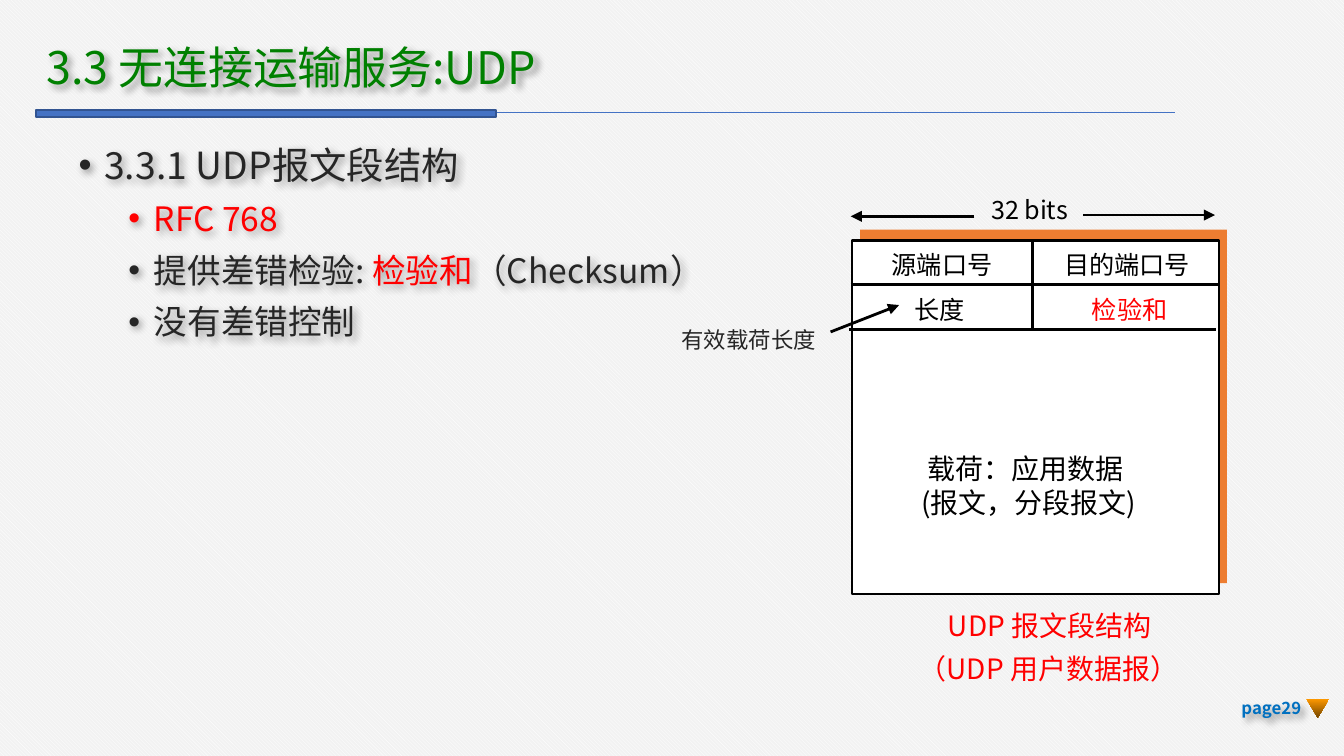
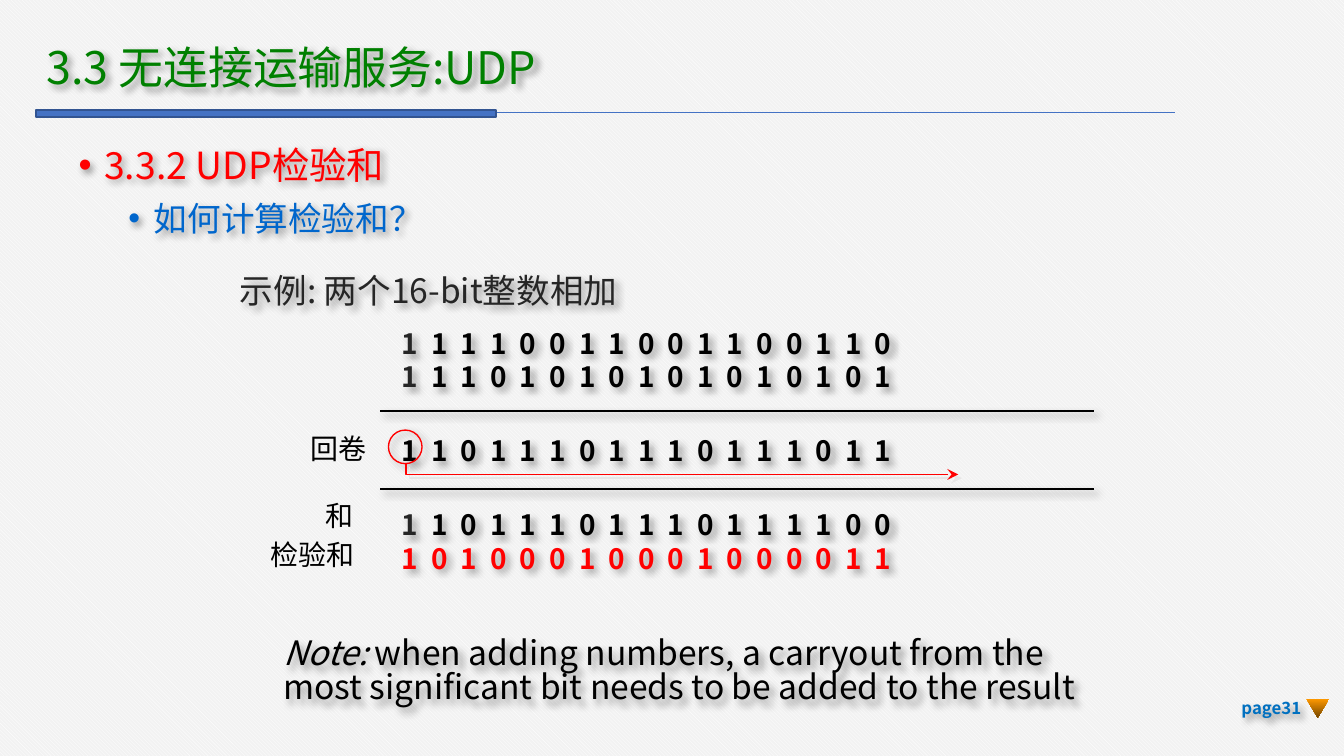
"""Build two lecture slides on the UDP segment structure and checksum."""
from dataclasses import dataclass
from typing import Optional

import lxml.etree
import pptx
import pptx.dml.color
import pptx.enum.dml
import pptx.enum.shapes
import pptx.enum.text
import pptx.oxml.ns
import pptx.util

Inches = pptx.util.Inches
Pt = pptx.util.Pt
Align = pptx.enum.text.PP_ALIGN
Anchor = pptx.enum.text.MSO_ANCHOR
Shapes = pptx.enum.shapes.MSO_SHAPE
qn = pptx.oxml.ns.qn

FONT = "Noto Sans CJK SC"
BLACK, WHITE, RED, INK = "000000", "FFFFFF", "FF0000", "262626"
GREEN, BLUE, BAND, BAND_EDGE = "008000", "0066CC", "4472C4", "325491"
ORANGE, PAGE_BLUE, PALE = "ED7D31", "0070C0", "E7E6E6"
TITLE = "3.3 无连接运输服务:UDP"
BIT_PITCH = 0.22


@dataclass(frozen=True)
class Run:
    """A stretch of text in one format."""
    text: str
    color: str = BLACK
    italic: bool = False


@dataclass(frozen=True)
class Label:
    """A small text box with one paragraph per line of text."""
    text: str
    left: float
    top: float
    width: float
    height: float
    size: float = 13.5
    color: str = BLACK
    align: Align = Align.CENTER
    wrap: bool = False


@dataclass(frozen=True)
class Line:
    """A straight line, with an optional arrowhead and shadow."""
    start: tuple[float, float]
    end: tuple[float, float]
    color: str = BLACK
    width: float = 1.5
    arrow: Optional[str] = None
    shadow: bool = False


@dataclass(frozen=True)
class Item:
    """A bulleted paragraph at a list level."""
    level: int
    runs: tuple[Run, ...]


@dataclass(frozen=True)
class BitRow:
    """A row of binary digits, the first one in its own colour."""
    bits: str
    first: str = BLACK
    rest: str = BLACK
    gap: float = 0


def rgb(color: str) -> pptx.dml.color.RGBColor:
    """Turn a hex string into a colour."""
    return pptx.dml.color.RGBColor.from_string(color)


def make_element(parent, tag: str, **attributes):
    """Append a DrawingML element to its parent."""
    return lxml.etree.SubElement(parent, qn(tag), {key: str(value) for key, value in attributes.items()})


def add_shadow(shape, color: str = BLACK, alpha: int = 40, blur: float = 4, distance: float = 3) -> None:
    """Give a shape a lower-right shadow."""
    shape.shadow.inherit = False
    effects = shape._element.spPr.find(qn("a:effectLst"))
    outer = make_element(effects, "a:outerShdw", blurRad=Pt(blur), dist=Pt(distance),
                         dir=45 * 60000, algn="tl", rotWithShape=0)
    make_element(make_element(outer, "a:srgbClr", val=color), "a:alpha", val=alpha * 1000)


def add_run(paragraph, text: str, *, size: float, color: str = BLACK, bold: bool = False,
            italic: bool = False) -> None:
    """Add formatted text to a paragraph."""
    run = paragraph.add_run()
    run.text = text
    run.font.size = Pt(size)
    run.font.bold = bold
    run.font.italic = italic
    run.font.color.rgb = rgb(color)
    run.font.name = FONT
    make_element(run.font._element, "a:ea", typeface=FONT)


def set_frame(shape, wrap: bool = True, anchor: Anchor = Anchor.TOP, narrow: bool = False, shadow: bool = False):
    """Set up the text frame of a shape and return it."""
    frame = shape.text_frame
    frame.word_wrap = wrap
    frame.auto_size = pptx.enum.text.MSO_AUTO_SIZE.NONE
    frame.vertical_anchor = anchor
    if narrow:
        frame.margin_left = frame.margin_right = Pt(5.4)
        frame.margin_top = frame.margin_bottom = Pt(2.7)
    if shadow:
        add_shadow(shape)
    return frame


def add_box(slide, left: float, top: float, width: float, height: float, **frame_format):
    """Add a text box and return its frame."""
    shape = slide.shapes.add_textbox(Inches(left), Inches(top), Inches(width), Inches(height))
    return set_frame(shape, **frame_format)


def add_label(slide, label: Label) -> None:
    """Draw a label."""
    frame = add_box(slide, label.left, label.top, label.width, label.height, wrap=label.wrap)
    for index, text in enumerate(label.text.split("\n")):
        paragraph = frame.add_paragraph() if index else frame.paragraphs[0]
        paragraph.alignment = label.align
        add_run(paragraph, text, size=label.size, color=label.color)


def set_arrow(shape, kind: str) -> None:
    """Put an arrowhead at the end of a line."""
    make_element(shape._element.spPr.find(qn("a:ln")), "a:tailEnd", type=kind)


def add_line(slide, line: Line) -> None:
    """Draw a straight line."""
    points = [Inches(value) for value in (*line.start, *line.end)]
    connector = slide.shapes.add_connector(pptx.enum.shapes.MSO_CONNECTOR.STRAIGHT, *points)
    connector.line.color.rgb = rgb(line.color)
    connector.line.width = Pt(line.width)
    if line.arrow:
        set_arrow(connector, line.arrow)
    effects = make_element(connector._element.spPr, "a:effectLst")
    if line.shadow:
        outer = make_element(effects, "a:outerShdw", blurRad=Pt(4), dist=Pt(3), dir=45 * 60000)
        make_element(make_element(outer, "a:srgbClr", val=BLACK), "a:alpha", val=40000)


def style_shape(shape, fill: Optional[str], edge: Optional[str], width: float) -> None:
    """Set the fill and outline of a shape and drop its shadow."""
    shape.shadow.inherit = False
    if fill:
        shape.fill.solid()
        shape.fill.fore_color.rgb = rgb(fill)
    else:
        shape.fill.background()
    if edge:
        shape.line.color.rgb = rgb(edge)
        shape.line.width = Pt(width)
    else:
        shape.line.fill.background()


def add_shape(slide, kind: Shapes, left: float, top: float, width: float, height: float,
              fill: Optional[str] = None, edge: Optional[str] = None, line_width: float = 1):
    """Draw a preset shape."""
    shape = slide.shapes.add_shape(kind, Inches(left), Inches(top), Inches(width), Inches(height))
    style_shape(shape, fill, edge, line_width)
    return shape


def place(shape, left: float, top: float, width: float, height: float) -> None:
    """Move and resize a placeholder."""
    shape.left, shape.top = Inches(left), Inches(top)
    shape.width, shape.height = Inches(width), Inches(height)


def add_page_mark(slide, page: int) -> None:
    """Draw the page number and its triangle."""
    paragraph = add_box(slide, 9.09, 5.12, 0.69, 0.3, anchor=Anchor.MIDDLE, shadow=True).paragraphs[0]
    paragraph.alignment = Align.RIGHT
    add_run(paragraph, f"page{page}", size=9, color=PAGE_BLUE, bold=True)
    marker = add_shape(slide, Shapes.FLOWCHART_MERGE, 9.72, 5.2, 0.17, 0.14)
    marker.fill.gradient()
    marker.fill.gradient_angle = 270
    for stop, color, position in zip(marker.fill.gradient_stops, ("FF9900", "764700"), (0, 1)):
        stop.color.rgb = rgb(color)
        stop.position = position


def add_base_slide(presentation, page: int, body_height: float, items: list[Item]):
    """Add a slide with band, title, bullet list and page mark."""
    slide = presentation.slides.add_slide(presentation.slide_layouts[1])
    add_line(slide, Line((8.74, 0.84), (0.27, 0.84), BAND, 0.5))
    add_shape(slide, Shapes.RECTANGLE, 0.27, 0.82, 3.42, 0.05, BAND, BAND_EDGE)
    title, body = slide.placeholders
    place(title, 0.27, 0.3, 4.26, 0.44)
    heading = set_frame(title, anchor=Anchor.MIDDLE, narrow=True, shadow=True).paragraphs[0]
    heading.alignment = Align.LEFT
    heading.line_spacing = 0.9
    add_run(heading, TITLE, size=24, color=GREEN)
    place(body, 0.51, 1.02, 6.68, body_height)
    frame = set_frame(body, narrow=True, shadow=True)
    for index, item in enumerate(items):
        paragraph = frame.add_paragraph() if index else frame.paragraphs[0]
        paragraph.level = item.level
        paragraph.space_before = Pt(6 if index else 0)
        properties = paragraph._p.get_or_add_pPr()
        properties.set("marL", str(Inches(0.56 if item.level else 0.19)))
        properties.set("indent", str(Inches(-0.19)))
        make_element(properties, "a:buChar", char="•")
        for run in item.runs:
            add_run(paragraph, run.text, size=18 if item.level else 20, color=run.color)
    add_page_mark(slide, page)
    return slide


def add_bit_rows(slide, rows: list[BitRow]) -> None:
    """Write rows of digits aligned on evenly spaced tab stops."""
    frame = add_box(slide, 2.89, 2.38, 5.25, 1.97, shadow=True)
    for index, row in enumerate(rows):
        paragraph = frame.add_paragraph() if index else frame.paragraphs[0]
        paragraph.line_spacing = Pt(17.9)
        paragraph.space_before = Pt(row.gap)
        tabs = make_element(paragraph._p.get_or_add_pPr(), "a:tabLst")
        for column in range(1, len(row.bits)):
            make_element(tabs, "a:tab", pos=Inches(BIT_PITCH * column), algn="l")
        add_run(paragraph, row.bits[0], size=15, color=row.first, bold=True)
        add_run(paragraph, "\t" + "\t".join(row.bits[1:]), size=15, color=row.rest, bold=True)


def build_segment_slide(presentation) -> None:
    """Build the slide on the UDP segment structure."""
    slide = add_base_slide(presentation, 29, 4.1, [
        Item(0, (Run("3.3.1 UDP报文段结构", INK),)),
        Item(1, (Run("RFC 768", RED),)),
        Item(1, (Run("提供差错检验: ", INK), Run("检验和", RED), Run("（Checksum）", INK))),
        Item(1, (Run("没有差错控制", INK),))])
    add_shape(slide, Shapes.RECTANGLE, 6.4, 1.71, 2.73, 2.63, ORANGE)
    add_shape(slide, Shapes.RECTANGLE, 6.34, 1.79, 2.73, 2.63, WHITE, BLACK, 1.5)
    for line in (Line((6.33, 2.12), (9.06, 2.12)), Line((6.32, 2.45), (9.05, 2.45)),
                 Line((7.68, 2.11), (7.68, 1.79)), Line((7.68, 2.45), (7.68, 2.12)),
                 Line((8.06, 1.6), (9.04, 1.6), arrow="triangle"),
                 Line((7.25, 1.61), (6.33, 1.61), arrow="triangle"),
                 Line((6.18, 2.47), (6.69, 2.27), arrow="triangle")):
        add_line(slide, line)
    for label in (Label("源端口号", 6.53, 1.81, 0.96, 0.33),
                  Label("目的端口号", 7.81, 1.81, 1.15, 0.33),
                  Label("32 bits", 7.24, 1.4, 0.84, 0.33),
                  Label("载荷：应用数据 \n(报文，分段报文)", 6.59, 3.31, 2.13, 0.61, 15, wrap=True),
                  Label("UDP 报文段结构", 6.84, 4.48, 1.94, 0.35, 15, RED, wrap=True),
                  Label("长度", 6.7, 2.14, 0.58, 0.33),
                  Label("检验和", 8.02, 2.14, 0.77, 0.33, color=RED),
                  Label("有效载荷长度", 4.87, 2.38, 1.3, 0.3, 12, INK, Align.RIGHT, True),
                  Label("（UDP 用户数据报）", 6.59, 4.8, 2.42, 0.35, 15, RED, wrap=True)):
        add_label(slide, label)


def build_checksum_slide(presentation) -> None:
    """Build the slide on computing the checksum."""
    slide = add_base_slide(presentation, 31, 3.52, [
        Item(0, (Run("3.3.2 UDP检验和", RED),)),
        Item(1, (Run("如何计算检验和？", BLUE),))])
    example = add_box(slide, 1.71, 1.88, 6.38, 2.07, narrow=True, shadow=True).paragraphs[0]
    example.line_spacing = 1.3
    add_run(example, "示例: 两个16-bit整数相加", size=18, color=INK)
    add_bit_rows(slide, [
        BitRow("11110011001100110", INK), BitRow("11101010101010101", INK),
        BitRow("11011101110111011", gap=21.8), BitRow("11011101110111100", INK, gap=21.8),
        BitRow("10100010001000011", RED, RED)])
    for top in (3.06, 3.64):
        add_line(slide, Line((8.14, top), (2.83, top), width=1, shadow=True))
    add_shadow(add_shape(slide, Shapes.OVAL, 2.89, 3.2, 0.25, 0.25, edge=RED, line_width=0.75))
    builder = slide.shapes.build_freeform(Inches(3.02), Inches(3.45))
    builder.add_line_segments([(Inches(3.02), Inches(3.53)), (Inches(7.13), Inches(3.53))], close=False)
    carry = builder.convert_to_shape()
    style_shape(carry, None, RED, 0.75)
    set_arrow(carry, "stealth")
    add_shadow(carry, PALE, 100, 0, 2.8)
    for label in (Label("回卷", 2.21, 3.16, 0.62, 0.35, 15), Label("和", 2.32, 3.66, 0.41, 0.35, 15),
                  Label("检验和", 1.91, 3.95, 0.83, 0.35, 15)):
        add_label(slide, label)
    note = add_box(slide, 2.01, 4.7, 6.44, 0.62, shadow=True).paragraphs[0]
    note.line_spacing = 0.85
    for run in (Run("Note:", italic=True),
                Run(" when adding numbers, a carryout from the most significant bit needs to be added to the result")):
        add_run(note, run.text, size=18, color=run.color, italic=run.italic)


def main() -> None:
    """Build and save the presentation."""
    presentation = pptx.Presentation()
    presentation.slide_width, presentation.slide_height = Inches(10), Inches(10 * 9 / 16)
    background = presentation.slide_master.background.fill
    background.patterned()
    background.pattern = pptx.enum.dml.MSO_PATTERN.DARK_DOWNWARD_DIAGONAL
    background.fore_color.rgb = rgb(WHITE)
    background.back_color.rgb = rgb("F2F2F2")
    build_segment_slide(presentation)
    build_checksum_slide(presentation)
    presentation.save("out.pptx")


if __name__ == "__main__":
    main()
